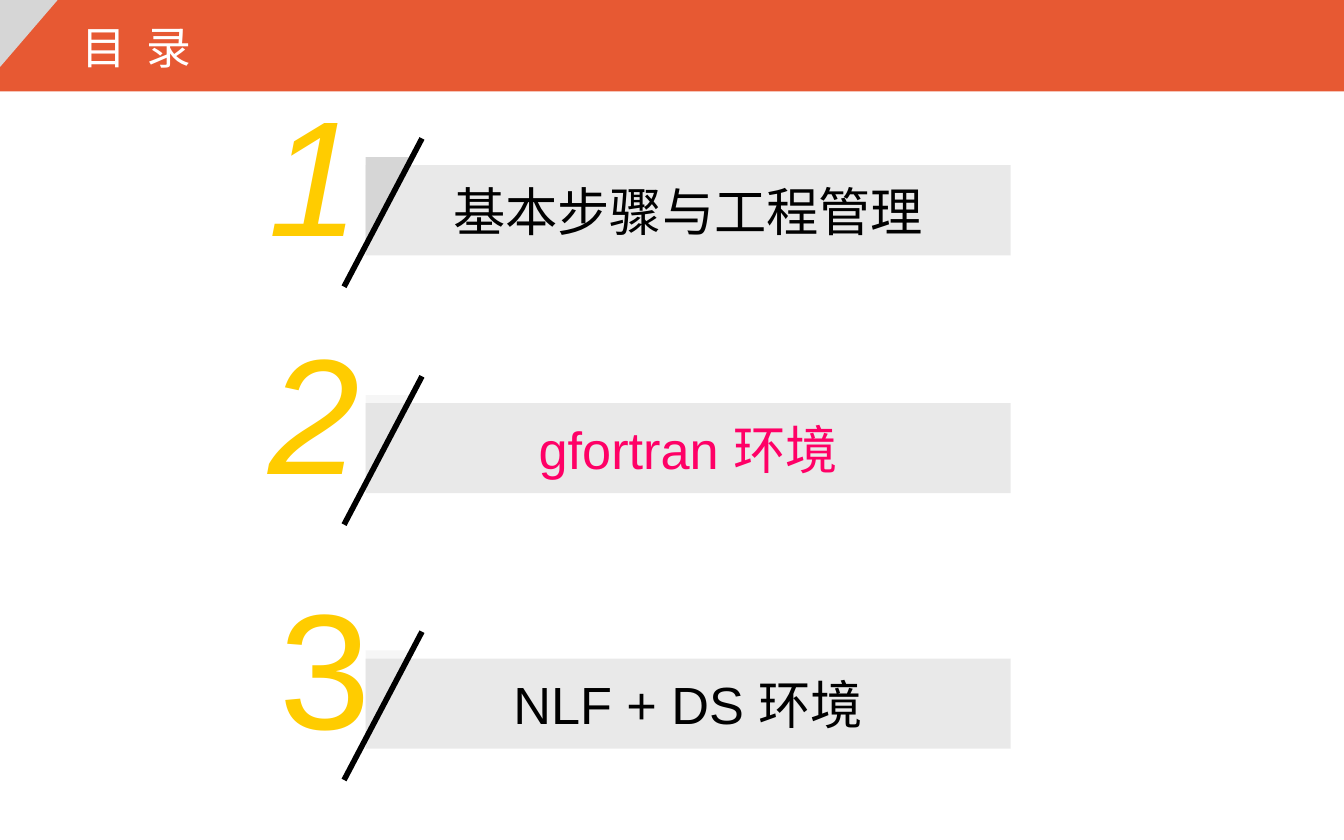
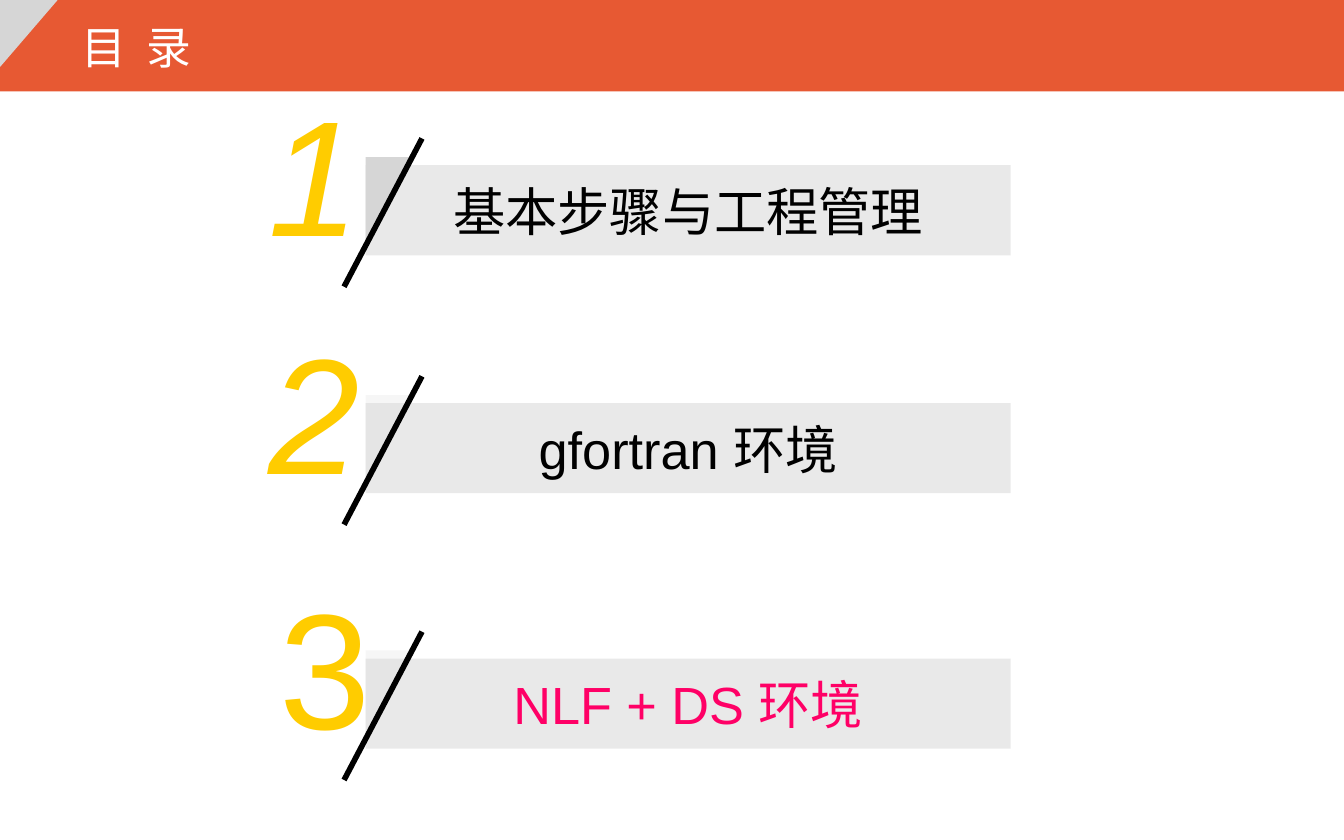
from dataclasses import dataclass

from lxml.etree import SubElement
from pptx import Presentation
from pptx.dml.color import RGBColor
from pptx.enum.shapes import MSO_CONNECTOR, MSO_SHAPE
from pptx.enum.text import MSO_ANCHOR, MSO_AUTO_SIZE, PP_ALIGN
from pptx.oxml.ns import qn
from pptx.shapes.autoshape import Shape
from pptx.slide import Slide
from pptx.text.text import TextFrame
from pptx.util import Inches, Length, Pt


@dataclass(frozen=True)
class Theme:
    band: str = "E75933"
    corner: str = "D6D6D6"
    bar: str = "949494"
    digit: str = "FFCC00"
    ink: str = "000000"
    active: str = "FF0066"
    title: str = "FFFFFF"
    font: str = "Arial"
    title_font: str = "DejaVu Sans Mono"
    title_size: int = 24
    digit_size: int = 88
    label_size: int = 28
    slash_width: int = 3
    faint: int = 20


@dataclass(frozen=True)
class Area:
    """A rectangle in columns and rows of the 100 x 100 slide grid."""
    col: float
    row: float
    cols: float
    rows: float

    def box(self) -> tuple[Length, Length, Length, Length]:
        return x(self.col), y(self.row), x(self.cols), y(self.rows)


@dataclass(frozen=True)
class Topic:
    label: str
    row: float
    digit_col: float = 19
    italic: bool = True
    corner_alpha: int = Theme.faint


THEME = Theme()
WIDTH, HEIGHT = Inches(10), Inches(6.25)
TITLE = "目  录"
TOPICS = (
    Topic("基本步骤与工程管理", 7.84, corner_alpha=100),
    Topic("gfortran 环境", 36.16),
    Topic("NLF + DS 环境", 66.56, digit_col=19.8, italic=False),
)
ACTIVE_TOPICS = (1, 2)


def x(cols: float) -> Length:
    return Length(round(WIDTH * cols / 100))


def y(rows: float) -> Length:
    return Length(round(HEIGHT * rows / 100))


def add_block(shapes, kind: MSO_SHAPE, area: Area, color: str, alpha: int = 100) -> Shape:
    sp = shapes.add_shape(kind, *area.box())
    sp.shadow.inherit = False
    sp.line.fill.background()
    sp.fill.solid()
    sp.fill.fore_color.rgb = RGBColor.from_string(color)
    if alpha < 100:
        clr = sp.element.spPr.find(qn("a:solidFill"))[0]
        SubElement(clr, qn("a:alpha"), val=str(alpha * 1000))
    return sp


def add_corner(shapes, area: Area, alpha: int = 100) -> None:
    """Draw a triangle with its right angle at the top left."""
    sp = add_block(shapes, MSO_SHAPE.RIGHT_TRIANGLE, area, THEME.corner, alpha)
    sp.element.spPr.xfrm.set("flipV", "1")


def write(tf: TextFrame, text: str, size: int, color: str, font: str = THEME.font,
          align: PP_ALIGN = PP_ALIGN.LEFT, italic: bool = False) -> None:
    p = tf.paragraphs[0]
    p.alignment = align
    r = p.add_run()
    r.text = text
    r.font.name = font
    r.font.size = Pt(size)
    r.font.italic = italic
    r.font.color.rgb = RGBColor.from_string(color)


def add_header(s: Slide) -> None:
    add_block(s.shapes, MSO_SHAPE.RECTANGLE, Area(0, 0, 100, 10.88), THEME.band)
    add_corner(s.shapes, Area(0, 0, 4.3, 8))
    title = s.shapes.title
    title.left, title.top, title.width, title.height = Area(5.1, 1.6, 33.9, 8).box()
    tf = title.text_frame
    tf.vertical_anchor = MSO_ANCHOR.TOP
    tf.auto_size = MSO_AUTO_SIZE.SHAPE_TO_FIT_TEXT
    write(tf, TITLE, THEME.title_size, THEME.title, THEME.title_font)
    s.shapes.element.append(title.element)  # bring the title in front of the band


def add_topic(s: Slide, number: int, topic: Topic, active: bool) -> None:
    shapes = s.shapes.add_group_shape().shapes
    top = topic.row

    digit = shapes.add_textbox(*Area(topic.digit_col, top, 8.8, 25.12).box())
    tf = digit.text_frame
    tf.word_wrap = False
    tf.auto_size = MSO_AUTO_SIZE.SHAPE_TO_FIT_TEXT
    write(tf, str(number), THEME.digit_size, THEME.digit, italic=topic.italic)

    bar = add_block(shapes, MSO_SHAPE.RECTANGLE, Area(27.2, top + 11.84, 48, 10.72),
                    THEME.bar, THEME.faint)
    bar.text_frame.word_wrap = True
    bar.text_frame.vertical_anchor = MSO_ANCHOR.MIDDLE
    write(bar.text_frame, topic.label, THEME.label_size,
          THEME.active if active else THEME.ink, align=PP_ALIGN.CENTER)

    add_corner(shapes, Area(27.2, top + 10.88, 3.7, 10.56), topic.corner_alpha)

    slash = shapes.add_connector(MSO_CONNECTOR.STRAIGHT, x(31.4), y(top + 8.64),
                                 x(25.6), y(top + 26.3))
    slash.line.color.rgb = RGBColor.from_string(THEME.ink)
    slash.line.width = Pt(THEME.slash_width)
    SubElement(slash.element.spPr, qn("a:effectLst"))


def main() -> None:
    prs = Presentation()
    prs.slide_width, prs.slide_height = WIDTH, HEIGHT
    for active in ACTIVE_TOPICS:
        s = prs.slides.add_slide(prs.slide_layouts[5])
        add_header(s)
        for i, topic in enumerate(TOPICS):
            add_topic(s, i + 1, topic, i == active)
    prs.save("out.pptx")


if __name__ == "__main__":
    main()
